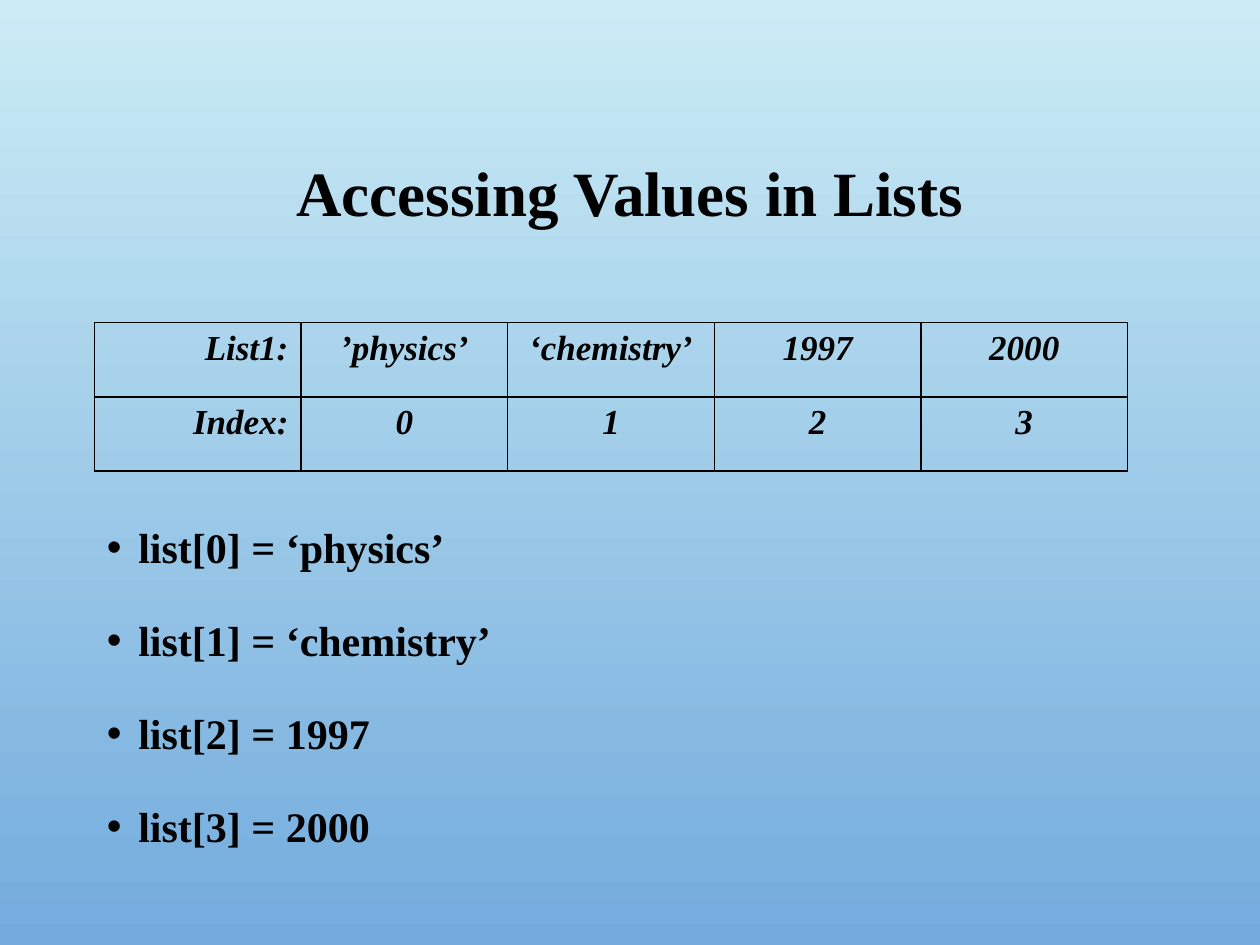
from lxml import etree
from pptx import Presentation
from pptx.dml.color import RGBColor
from pptx.enum.text import MSO_ANCHOR, PP_ALIGN
from pptx.oxml.ns import qn
from pptx.util import Inches, Pt

LEFT, MID, RIGHT = PP_ALIGN.LEFT, PP_ALIGN.CENTER, PP_ALIGN.RIGHT
CENTER = MSO_ANCHOR.MIDDLE
BLACK = RGBColor(0x00, 0x00, 0x00)
SKY = RGBColor(0xCB, 0xEC, 0xF5)
BLUE = RGBColor(0x73, 0xAB, 0xDD)
FONT = "Times New Roman"

# Content
TITLE = "Accessing Values in Lists"
ROWS = [
    ("List1:", "’physics’", "‘chemistry’", "1997", "2000"),
    ("Index:", "0", "1", "2", "3"),
]
ITEMS = ["list[0] = ‘physics’", "list[1] = ‘chemistry’",
         "list[2] = 1997", "list[3] = 2000"]
COL, ROW = 1.64, 0.59


def write(para, text, size, align, italic=None):
    para.alignment = align
    run = para.add_run()
    run.text = text
    font = run.font
    font.name, font.size = FONT, Pt(size)
    font.bold, font.italic = True, italic
    font.color.rgb = BLACK


def add_box(slide, left, top, width, height):
    box = slide.shapes.add_textbox(
        Inches(left), Inches(top), Inches(width), Inches(height))
    box.text_frame.word_wrap = True
    return box.text_frame


def add_bullet(para):
    props = para._p.get_or_add_pPr()
    props.set("marL", str(Inches(0.25)))
    props.set("indent", str(-Inches(0.25)))
    color = etree.SubElement(props, qn("a:buClr"))
    etree.SubElement(color, qn("a:srgbClr"), val=str(BLACK))
    etree.SubElement(props, qn("a:buFont"), typeface="Arial")
    etree.SubElement(props, qn("a:buChar"), char="•")


def add_border(cell):
    props = cell._tc.get_or_add_tcPr()
    for place, side in enumerate(("lnL", "lnR", "lnT", "lnB")):
        line = etree.Element(qn("a:" + side), w=str(Pt(1)))
        fill = etree.SubElement(line, qn("a:solidFill"))
        etree.SubElement(fill, qn("a:srgbClr"), val=str(BLACK))
        props.insert(place, line)


deck = Presentation()
deck.slide_width, deck.slide_height = Inches(10), Inches(7.5)
slide = deck.slides.add_slide(deck.slide_layouts[6])

# Background, top to bottom
back = slide.background.fill
back.gradient()
back.gradient_angle = 270
for stop, color, spot in zip(back.gradient_stops, (SKY, BLUE), (0, 1)):
    stop.color.rgb = color
    stop.position = spot

# Title
frame = add_box(slide, 0.75, 0.68, 8.5, 1.75)
frame.vertical_anchor = CENTER
frame.paragraphs[0].line_spacing = 0.9
write(frame.paragraphs[0], TITLE, 36, MID)

# Bullets
frame = add_box(slide, 0.75, 3.89, 8.5, 3.06)
for i, item in enumerate(ITEMS):
    para = frame.add_paragraph() if i else frame.paragraphs[0]
    para.line_spacing = 1.5
    if i:
        para.space_before = Pt(10)
    add_bullet(para)
    write(para, item, 24, LEFT)

# Table of values and their indexes
count = len(ROWS[0])
table = slide.shapes.add_table(
    len(ROWS), count, Inches(0.75), Inches(2.56),
    Inches(COL * count), Inches(ROW * len(ROWS))).table
table.first_row = table.horz_banding = False
for col in table.columns:
    col.width = Inches(COL)
for r, texts in enumerate(ROWS):
    table.rows[r].height = Inches(ROW)
    for c, text in enumerate(texts):
        cell = table.cell(r, c)
        cell.fill.background()
        add_border(cell)
        write(cell.text_frame.paragraphs[0], text, 20,
              MID if c else RIGHT, True)

deck.save("out.pptx")
